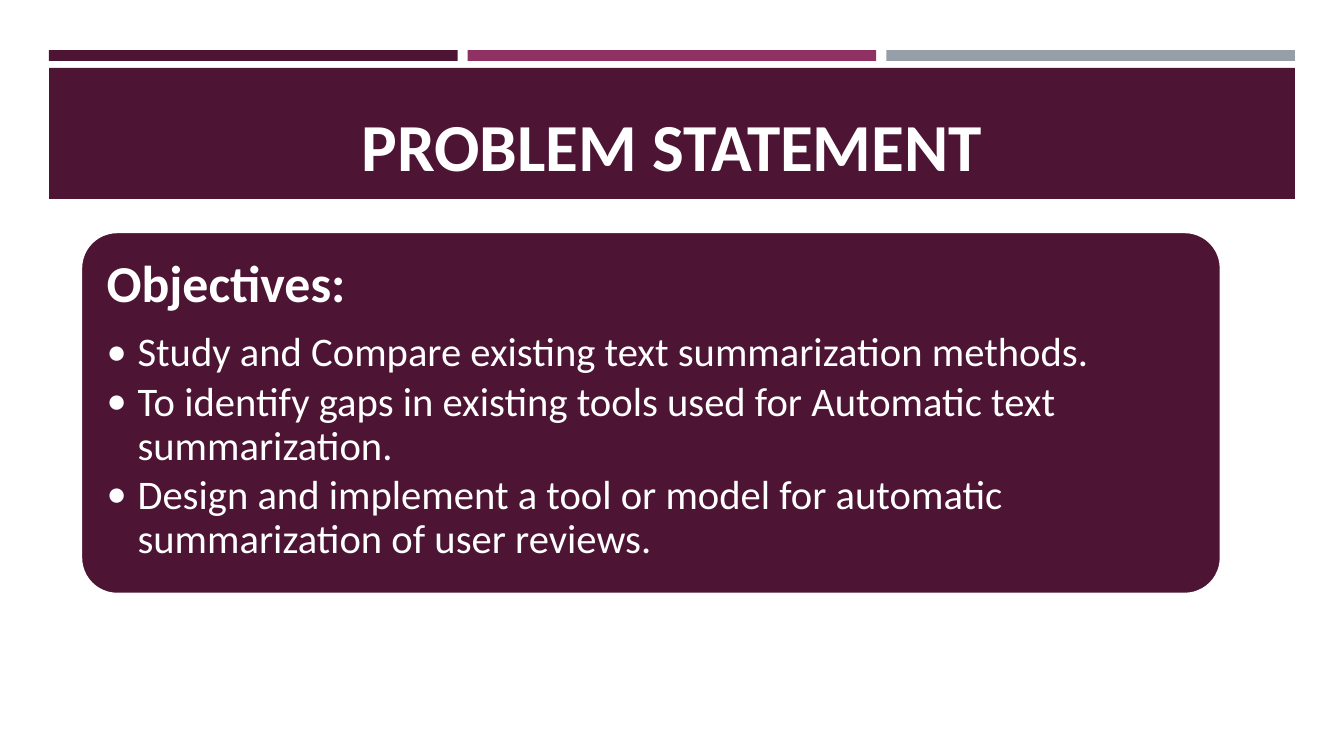
from lxml.etree import SubElement
from pptx import Presentation
from pptx.dml.color import RGBColor
from pptx.enum.shapes import MSO_SHAPE
from pptx.enum.text import MSO_ANCHOR, PP_ALIGN
from pptx.oxml.ns import qn
from pptx.util import Emu, Pt

PLUM = RGBColor(0x4D, 0x14, 0x34)
MAGENTA = RGBColor(0x90, 0x31, 0x63)
GREY = RGBColor(0x96, 0x9F, 0xA7)
WHITE = RGBColor(0xFF, 0xFF, 0xFF)
FONT = "Calibri"
OBJECTIVES = [
    "Study and Compare existing text summarization methods.",
    "To identify gaps in existing tools used for Automatic text summarization.",
    "Design and implement a tool or model for automatic summarization of user reviews.",
]


def px(length):
    """Turn pixels into EMU at 100.8 pixels to the inch."""
    return Emu(round(length * 914400 / 100.8))


def apply(target, values):
    """Set each attribute of the target from a dict."""
    for name, value in values.items():
        setattr(target, name, value)


def add_block(page, kind, box, color):
    """Add a plain filled shape without outline or shadow."""
    block = page.shapes.add_shape(kind, *map(px, box))
    block.shadow.inherit = False
    block.fill.solid()
    block.fill.fore_color.rgb = color
    block.line.fill.background()
    return block


def add_span(para, text, size, bold):
    """Write one white run into a paragraph."""
    span = para.add_run()
    span.text = text
    apply(span.font, {"name": FONT, "size": Pt(size), "bold": bold})
    span.font.color.rgb = WHITE


def add_bullet(para):
    """Give a paragraph a hanging round bullet."""
    properties = para._p.get_or_add_pPr()
    properties.set("marL", str(px(31)))
    properties.set("indent", str(-px(31)))
    SubElement(properties, qn("a:buFont"), typeface=FONT)
    SubElement(properties, qn("a:buChar"), char="•")


def add_header(page, box):
    """Place the three accent strips, the band and the title."""
    left, top, width, height = box
    gap, strip_height, band_offset = 10, 11, 18
    strip_width = (width - 2 * gap) / 3
    for index, color in enumerate((PLUM, MAGENTA, GREY)):
        strip_left = left + index * (strip_width + gap)
        add_block(page, MSO_SHAPE.RECTANGLE,
                  (strip_left, top, strip_width, strip_height), color)
    band = add_block(page, MSO_SHAPE.RECTANGLE,
                     (left, top + band_offset, width, height - band_offset), PLUM)
    title = page.shapes.title
    band.element.addnext(title.element)
    apply(title, {"left": px(left + 16), "top": px(top + 28),
                  "width": px(width - 32), "height": px(height - 37)})
    frame = title.text_frame
    apply(frame, {"vertical_anchor": MSO_ANCHOR.BOTTOM, "word_wrap": True,
                  "margin_left": px(10), "margin_right": px(10),
                  "margin_top": px(5), "margin_bottom": px(5)})
    para = frame.paragraphs[0]
    para.alignment = PP_ALIGN.CENTER
    add_span(para, "PROBLEM STATEMENT", 48, True)


def add_objectives(page, box):
    """Place the rounded card with its heading and bullet list."""
    card = add_block(page, MSO_SHAPE.ROUNDED_RECTANGLE, box, PLUM)
    card.adjustments[0] = 0.1
    card.line.color.rgb = WHITE
    card.line.width = Pt(1.75)
    frame = card.text_frame
    apply(frame, {"vertical_anchor": MSO_ANCHOR.TOP, "word_wrap": True,
                  "margin_left": px(15), "margin_right": px(15),
                  "margin_top": px(15), "margin_bottom": px(15)})
    heading = frame.paragraphs[0]
    apply(heading, {"alignment": PP_ALIGN.LEFT, "line_spacing": 0.9,
                    "space_after": Pt(13)})
    add_span(heading, "Objectives:", 37, True)
    for objective in OBJECTIVES:
        para = frame.add_paragraph()
        apply(para, {"alignment": PP_ALIGN.LEFT, "line_spacing": 0.9,
                     "space_after": Pt(4), "level": 1})
        add_bullet(para)
        add_span(para, objective, 29, False)


def main():
    """Build the slide and save the deck."""
    deck = Presentation()
    apply(deck, {"slide_width": px(1344), "slide_height": px(756)})
    page = deck.slides.add_slide(deck.slide_layouts[5])
    add_header(page, (49, 50, 1246, 149))
    add_objectives(page, (81, 232, 1140, 362))
    deck.save("out.pptx")


if __name__ == "__main__":
    main()
